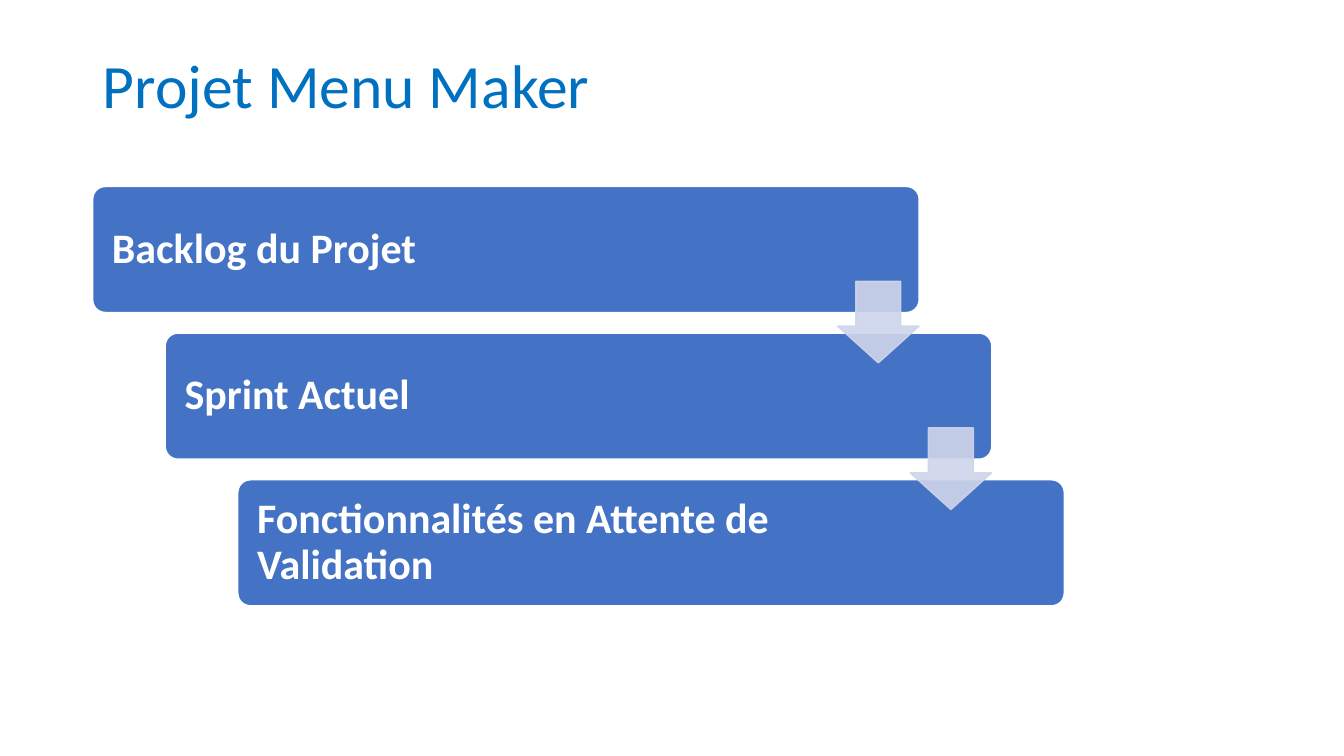
from lxml import etree
from pptx import Presentation
from pptx.dml.color import RGBColor
from pptx.enum.shapes import MSO_SHAPE
from pptx.enum.text import MSO_ANCHOR, MSO_AUTO_SIZE, PP_ALIGN
from pptx.oxml.ns import qn
from pptx.util import Emu, Pt

ROUNDED = MSO_SHAPE.ROUNDED_RECTANGLE
DOWN_ARROW = MSO_SHAPE.DOWN_ARROW
MIDDLE = MSO_ANCHOR.MIDDLE
NO_AUTOFIT = MSO_AUTO_SIZE.NONE
LEFT = PP_ALIGN.LEFT

EMU_PER_PX = 914400 // 200
TITLE_ONLY = 5
COLORS = {"title": "0070C0", "step": "4472C4", "arrow": "CFD5EA", "white": "FFFFFF"}
STEPS = ["Backlog du Projet", "Sprint Actuel", "Fonctionnalités en Attente de Validation"]
STEP_LEFT, STEP_TOP, STEP_WIDTH, STEP_HEIGHT = 184, 370, 1640, 250
SHIFT_X, SHIFT_Y = 144, 291
ARROW_LEFT, ARROW_TOP, ARROW_SIZE = 1662, 558, 162


def px(length):
    """Turn px into EMU."""
    return Emu(length * EMU_PER_PX)


def rgb(name):
    """Look up a palette colour."""
    return RGBColor.from_string(COLORS[name])


class StaircaseSlide:
    """Holds the style and the current slide."""

    def __init__(self, presentation, font="Calibri"):
        """Add a title-only slide."""
        self.slide = presentation.slides.add_slide(presentation.slide_layouts[TITLE_ONLY])
        self.font = font

    def label(self, frame, text, size, color, bold=False):
        """Set left-aligned, vertically centred text."""
        frame.text = text
        frame.word_wrap = True
        frame.auto_size = NO_AUTOFIT
        frame.vertical_anchor = MIDDLE
        paragraph = frame.paragraphs[0]
        paragraph.alignment = LEFT
        paragraph.line_spacing = 0.9
        font = paragraph.runs[0].font
        font.name, font.size, font.bold = self.font, Pt(size), bold
        font.color.rgb = rgb(color)

    def title(self, text, left, top, width, height):
        """Move and fill the title placeholder."""
        heading = self.slide.shapes.title
        heading.left, heading.top = px(left), px(top)
        heading.width, heading.height = px(width), px(height)
        self.label(heading.text_frame, text, 44, "title")

    def block(self, kind, left, top, width, height, fill, line, adjustments):
        """Add a filled and outlined preset shape."""
        shape = self.slide.shapes.add_shape(kind, px(left), px(top), px(width), px(height))
        shape.shadow.inherit = False
        shape.fill.solid()
        shape.fill.fore_color.rgb = rgb(fill)
        shape.line.color.rgb = rgb(line)
        shape.line.width = Pt(1)
        for index, value in enumerate(adjustments):
            shape.adjustments[index] = value
        return shape

    def step(self, text, left, top):
        """Add a labelled step, leaving room for the arrow on its right."""
        bar = self.block(ROUNDED, left, top, STEP_WIDTH, STEP_HEIGHT, "step", "white", [0.1])
        frame = bar.text_frame
        frame.margin_left, frame.margin_right = px(31), px(338)
        frame.margin_top = frame.margin_bottom = px(31)
        self.label(frame, text, 30, "white", bold=True)

    def arrow(self, left, top):
        """Add a slightly transparent down arrow."""
        arrow = self.block(DOWN_ARROW, left, top, ARROW_SIZE, ARROW_SIZE,
                           "arrow", "arrow", [0.55, 0.45])
        for color in arrow.element.spPr.iter(qn("a:srgbClr")):
            etree.SubElement(color, qn("a:alpha"), val="90000")


def main():
    """Build and save the slide."""
    presentation = Presentation()
    presentation.slide_width, presentation.slide_height = px(2667), px(1500)
    staircase = StaircaseSlide(presentation)
    staircase.title("Projet Menu Maker", 184, 80, 1694, 190)
    for index, text in enumerate(STEPS):
        staircase.step(text, STEP_LEFT + index * SHIFT_X, STEP_TOP + index * SHIFT_Y)
    for index in range(len(STEPS) - 1):
        staircase.arrow(ARROW_LEFT + index * SHIFT_X, ARROW_TOP + index * SHIFT_Y)
    presentation.save("out.pptx")


if __name__ == "__main__":
    main()
